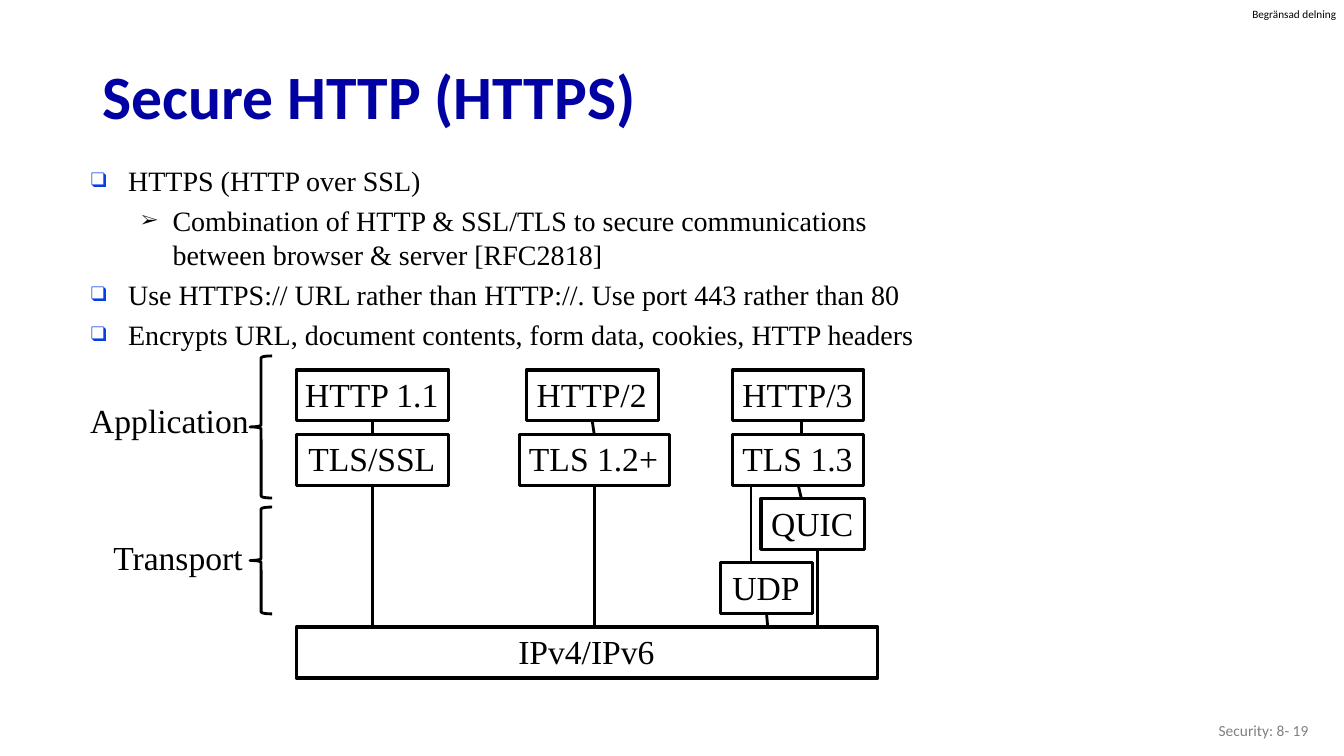
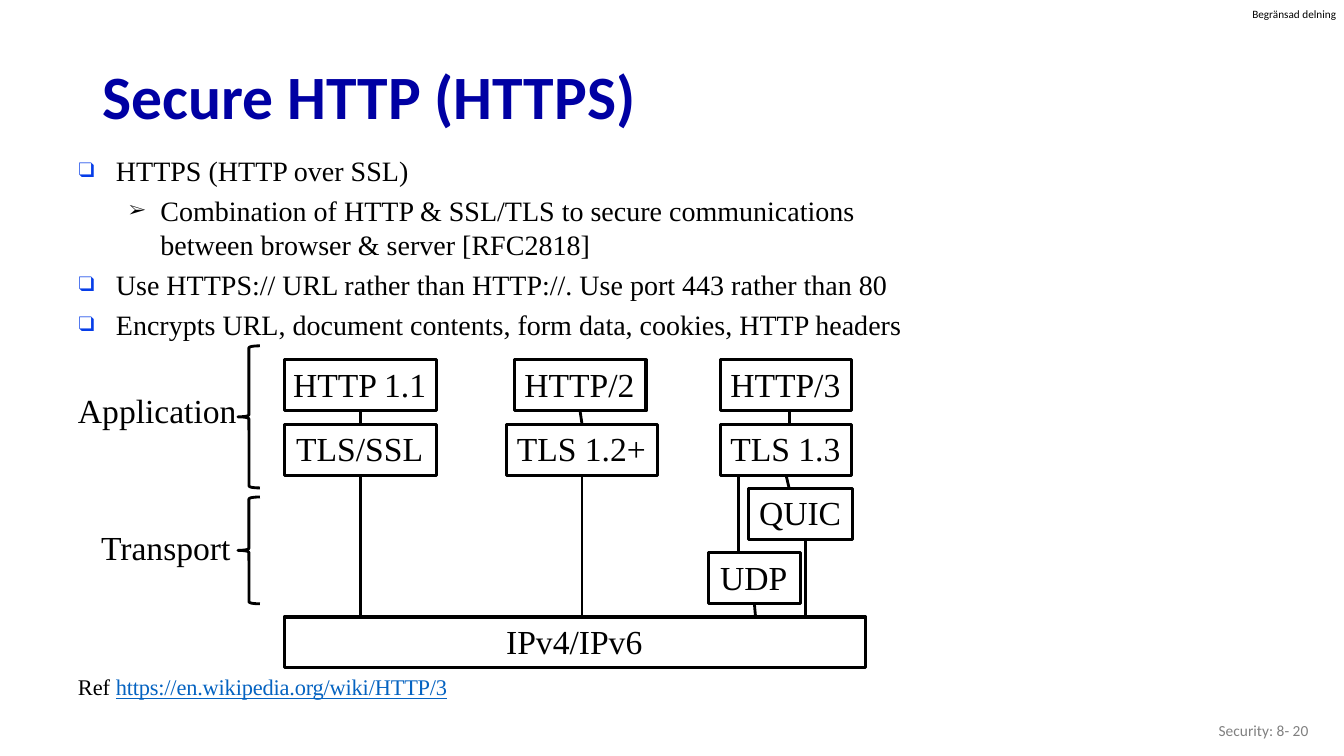
from lxml import etree
from pptx import Presentation
from pptx.dml.color import RGBColor
from pptx.enum.shapes import MSO_CONNECTOR, MSO_SHAPE
from pptx.enum.text import MSO_ANCHOR, PP_ALIGN
from pptx.oxml.ns import qn
from pptx.util import Pt

# Colours, fonts and enum members
BLACK = RGBColor(0x00, 0x00, 0x00)
NAVY = RGBColor(0x00, 0x00, 0xA3)
GREY = RGBColor(0x80, 0x80, 0x80)
BULLET_BLUE = RGBColor(0x06, 0x3D, 0xE8)
LINK_BLUE = RGBColor(0x05, 0x63, 0xC1)
SANS, SERIF = "Calibri", "Times New Roman"
LEFT, CENTER, RIGHT = PP_ALIGN.LEFT, PP_ALIGN.CENTER, PP_ALIGN.RIGHT
TOP, MIDDLE = MSO_ANCHOR.TOP, MSO_ANCHOR.MIDDLE
RECT, BRACE = MSO_SHAPE.RECTANGLE, MSO_SHAPE.LEFT_BRACE
STRAIGHT = MSO_CONNECTOR.STRAIGHT
SIDE_TOP, SIDE_BOTTOM = 0, 2

# Diagram rows, measured from the top of the content block
ROW_TOP, ROW_PITCH, BOX_H = 153.4, 45.9, 36.4

# Bullet levels: character, size in percent, left margin, hanging, colour
LEVELS = [("❑", 75, 28.1, 26.6, BULLET_BLUE),
          ("➢", 65, 59.8, 22.3, BLACK)]
BULLETS = [
    (0, "HTTPS (HTTP over SSL)"),
    (1, "Combination of HTTP & SSL/TLS to secure communications "
        "between browser & server [RFC2818]"),
    (0, "Use HTTPS:// URL rather than HTTP://. Use port 443 rather than 80"),
    (0, "Encrypts URL, document contents, form data, cookies, HTTP headers"),
]

# Protocol boxes: text, left, row, width
BOXES = [
    ("HTTP 1.1", 148.3, 0, 108.7), ("HTTP/2", 312.5, 0, 94.3),
    ("HTTP/3", 460, 0, 93.6), ("TLS/SSL", 148.3, 1, 108.7),
    ("TLS 1.2+", 307.4, 1, 107.3), ("TLS 1.3", 460, 1, 93.6),
    ("QUIC", 480.2, 2, 74.2), ("UDP", 451.4, 3, 65.5),
    ("IPv4/IPv6", 148.3, 4, 415.4),
]

# Links from the bottom of one box to the top of another;
# None as x means the middle of that side
LINKS = [
    ("HTTP 1.1", None, "TLS/SSL", None), ("HTTP/2", None, "TLS 1.2+", None),
    ("HTTP/3", 509, "TLS 1.3", 509), ("TLS 1.3", None, "QUIC", 509),
    ("TLS 1.3", 473, "UDP", 473), ("QUIC", 520.5, "IPv4/IPv6", 520.5),
    ("UDP", None, "IPv4/IPv6", 485), ("TLS 1.2+", None, "IPv4/IPv6", 361.05),
    ("TLS/SSL", None, "IPv4/IPv6", 202.65),
]

# Layers: text, left, top, width, then top and height of the brace
LAYERS = [("Application", 0, 173.5, 115.2, 143.3, 101.5),
          ("Transport", 16.5, 271.4, 94.3, 251.3, 76.3)]


def add_run(p, text, size, color=BLACK, font=SERIF, bold=False,
            underline=False):
    r = p.add_run()
    r.text = text
    r.font.size, r.font.name = Pt(size), font
    r.font.color.rgb = color
    r.font.bold, r.font.underline = bold, underline
    return r


def set_frame(tf, margins, anchor):
    tf.word_wrap = True
    tf.vertical_anchor = anchor
    (tf.margin_left, tf.margin_top,
     tf.margin_right, tf.margin_bottom) = [Pt(m) for m in margins]


def add_text(s, left, top, width, height, margins=(0, 0, 0, 0),
             anchor=TOP, align=LEFT):
    """Add a text box and return its first paragraph."""
    tf = s.shapes.add_textbox(Pt(left), Pt(top), Pt(width), Pt(height)).text_frame
    set_frame(tf, margins, anchor)
    p = tf.paragraphs[0]
    p.alignment = align
    return p


def add_outline(s, kind, left, top, width, height, weight):
    sp = s.shapes.add_shape(kind, Pt(left), Pt(top), Pt(width), Pt(height))
    sp.shadow.inherit = False
    sp.fill.background()
    sp.line.color.rgb = BLACK
    sp.line.width = Pt(weight)
    return sp


def set_bullet(p, level):
    char, percent, margin, hanging, color = LEVELS[level]
    pPr = p._p.get_or_add_pPr()
    pPr.set("marL", str(Pt(margin)))
    pPr.set("indent", str(-Pt(hanging)))
    clr = etree.SubElement(pPr, qn("a:buClr"))
    etree.SubElement(clr, qn("a:srgbClr")).set("val", str(color))
    etree.SubElement(pPr, qn("a:buSzPct")).set("val", str(percent * 1000))
    etree.SubElement(pPr, qn("a:buFont")).set("typeface", SERIF)
    etree.SubElement(pPr, qn("a:buChar")).set("char", char)


def add_bullets(s, x, y):
    p = add_text(s, x, y, 610, 141, margins=(0, 5.8, 0, 0))
    tf = p._parent
    for i, (level, text) in enumerate(BULLETS):
        if i:
            p = tf.add_paragraph()
            p.space_before = Pt(4.8)
        p.level = level
        set_bullet(p, level)
        add_run(p, text, 20)


def add_box(s, text, left, top, width):
    sp = add_outline(s, RECT, left, top, width, BOX_H, 2.25)
    set_frame(sp.text_frame, (0, 0, 1, 2), MIDDLE)
    p = sp.text_frame.paragraphs[0]
    p.alignment = CENTER
    add_run(p, text, 24)
    return sp


def add_link(s, x, upper, x1, lower, x2):
    c = s.shapes.add_connector(STRAIGHT, Pt(x + (x1 or 0)), upper.top + upper.height,
                               Pt(x + (x2 or 0)), lower.top)
    if x1 is None:
        c.begin_connect(upper, SIDE_BOTTOM)
    if x2 is None:
        c.end_connect(lower, SIDE_TOP)
    c.line.color.rgb = BLACK
    c.line.width = Pt(2)
    etree.SubElement(c._element.spPr, qn("a:effectLst"))


def add_diagram(s, x, y):
    boxes = {text: add_box(s, text, x + left, y + ROW_TOP + row * ROW_PITCH, width)
             for text, left, row, width in BOXES}
    for upper, x1, lower, x2 in LINKS:
        add_link(s, x, boxes[upper], x1, boxes[lower], x2)
    for text, left, top, width, brace_top, brace_h in LAYERS:
        add_outline(s, BRACE, x + 115.2, y + brace_top, 15.8, brace_h, 2)
        add_run(add_text(s, x + left, y + top, width, 31, margins=(1, 1, 0, 0)),
                text, 24)


def add_slide(prs, number, x, y):
    """Add a slide whose content block starts at x, y."""
    s = prs.slides.add_slide(prs.slide_layouts[6])
    # Marking, title and footer
    add_run(add_text(s, 894.5, 5, 65, 10), "Begränsad delning", 8, font=SANS)
    p = add_text(s, 66.2, 36, 828, 70.6, (7.2, 3.6, 7.2, 3.6), MIDDLE)
    p.line_spacing = 0.9
    add_run(p, "Secure HTTP (HTTPS)", 44, NAVY, SANS, bold=True)
    p = add_text(s, 725.8, 507.6, 216, 28.8, (7.2, 3.6, 7.2, 3.6), MIDDLE, RIGHT)
    add_run(p, f"Security: 8- {number}", 11, GREY, SANS)
    # Content
    add_bullets(s, x, y)
    add_diagram(s, x, y)
    return s


def main():
    prs = Presentation()
    prs.slide_width, prs.slide_height = Pt(960), Pt(540)
    add_slide(prs, 19, 63.4, 110.9)
    s = add_slide(prs, 20, 54.7, 103.7)
    # Reference line, its address set slightly tighter
    p = add_text(s, 54.7, 480, 271, 22, margins=(1, 1, 0, 0))
    add_run(p, "Ref ", 16)
    r = add_run(p, "https://en.wikipedia.org/wiki/HTTP/3", 16, LINK_BLUE,
                underline=True)
    r._r.get_or_add_rPr().set("spc", "-10")
    prs.save("out.pptx")


if __name__ == "__main__":
    main()
